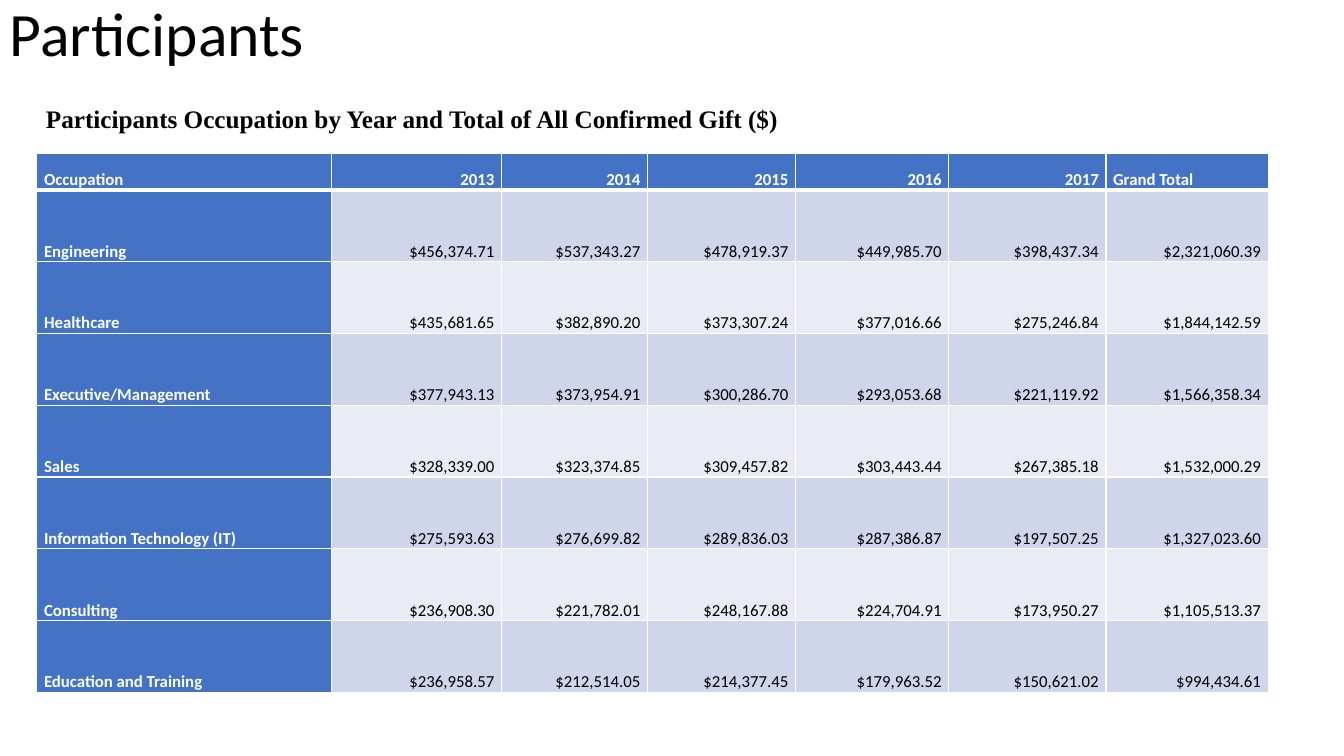
"""Build the slide on participants' occupations and their confirmed gifts by year."""
import lxml.etree
import pptx
import pptx.dml.color
import pptx.enum.text
import pptx.oxml.ns
import pptx.util

Cm = pptx.util.Cm
LEFT = pptx.enum.text.PP_ALIGN.LEFT
RIGHT = pptx.enum.text.PP_ALIGN.RIGHT
WHITE, BLACK, BLUE = "FFFFFF", "000000", "4472C4"
BAND_FILLS = ["CFD5EA", "E9EBF5"]


def color(hex_string):
    return pptx.dml.color.RGBColor.from_string(hex_string)


def write_text(text_frame, text, size, font="Calibri", hex_color=BLACK,
               bold=False, align=LEFT, spacing=1.0):
    text_frame.word_wrap = True
    paragraph = text_frame.paragraphs[0]
    paragraph.alignment = align
    paragraph.line_spacing = spacing
    run = paragraph.add_run()
    run.text = text
    run.font.size = pptx.util.Pt(size)
    run.font.name = font
    run.font.bold = bold
    run.font.color.rgb = color(hex_color)


presentation = pptx.Presentation()
presentation.slide_width = Cm(33.87)
presentation.slide_height = Cm(19.05)
slide = presentation.slides.add_slide(presentation.slide_layouts[6])

title = slide.shapes.add_textbox(Cm(0), Cm(-0.03), Cm(29.21), Cm(2.72))
write_text(title.text_frame, "Participants", 44, spacing=0.9)

subtitle = slide.shapes.add_textbox(Cm(0.91), Cm(2.49), Cm(31.83), Cm(1.02))
write_text(subtitle.text_frame,
           "Participants Occupation by Year and Total of All Confirmed Gift ($)",
           18, font="Times New Roman", bold=True)

gift_rows = [
    ["Occupation", "2013", "2014", "2015", "2016", "2017", "Grand Total"],
    ["Engineering", "$456,374.71", "$537,343.27", "$478,919.37",
     "$449,985.70", "$398,437.34", "$2,321,060.39"],
    ["Healthcare", "$435,681.65", "$382,890.20", "$373,307.24",
     "$377,016.66", "$275,246.84", "$1,844,142.59"],
    ["Executive/Management", "$377,943.13", "$373,954.91", "$300,286.70",
     "$293,053.68", "$221,119.92", "$1,566,358.34"],
    ["Sales", "$328,339.00", "$323,374.85", "$309,457.82",
     "$303,443.44", "$267,385.18", "$1,532,000.29"],
    ["Information Technology (IT)", "$275,593.63", "$276,699.82", "$289,836.03",
     "$287,386.87", "$197,507.25", "$1,327,023.60"],
    ["Consulting", "$236,908.30", "$221,782.01", "$248,167.88",
     "$224,704.91", "$173,950.27", "$1,105,513.37"],
    ["Education and Training", "$236,958.57", "$212,514.05", "$214,377.45",
     "$179,963.52", "$150,621.02", "$994,434.61"],
]
column_widths = [7.42, 4.29, 3.68, 3.73, 3.86, 3.96, 4.09]
header_height, body_height = 0.91, 1.81

table = slide.shapes.add_table(
    len(gift_rows), len(column_widths), Cm(0.93), Cm(3.87),
    Cm(sum(column_widths)),
    Cm(header_height + body_height * (len(gift_rows) - 1))).table
for column, width in zip(table.columns, column_widths):
    column.width = Cm(width)

for row_index, values in enumerate(gift_rows):
    is_header = row_index == 0
    table.rows[row_index].height = Cm(header_height if is_header else body_height)
    for column_index, value in enumerate(values):
        cell = table.cell(row_index, column_index)
        cell.margin_left = cell.margin_right = Cm(0.18)
        cell.margin_top = cell.margin_bottom = 0
        cell.vertical_anchor = pptx.enum.text.MSO_ANCHOR.BOTTOM

        cell_properties = cell._tc.get_or_add_tcPr()
        for side in ["lnL", "lnR", "lnT", "lnB"]:
            under_header = (row_index, side) in [(0, "lnB"), (1, "lnT")]
            border = lxml.etree.SubElement(
                cell_properties, pptx.oxml.ns.qn("a:" + side),
                w=str(pptx.util.Pt(3 if under_header else 1)))
            border_fill = lxml.etree.SubElement(border, pptx.oxml.ns.qn("a:solidFill"))
            lxml.etree.SubElement(border_fill, pptx.oxml.ns.qn("a:srgbClr"), val=WHITE)

        is_heading = is_header or column_index == 0
        cell.fill.solid()
        cell.fill.fore_color.rgb = color(
            BLUE if is_heading else BAND_FILLS[(row_index - 1) % 2])
        is_left = column_index == 0 or value == "Grand Total"
        write_text(cell.text_frame, value, 12, bold=is_heading,
                   hex_color=WHITE if is_heading else BLACK,
                   align=LEFT if is_left else RIGHT, spacing=1.07)

presentation.save("out.pptx")
